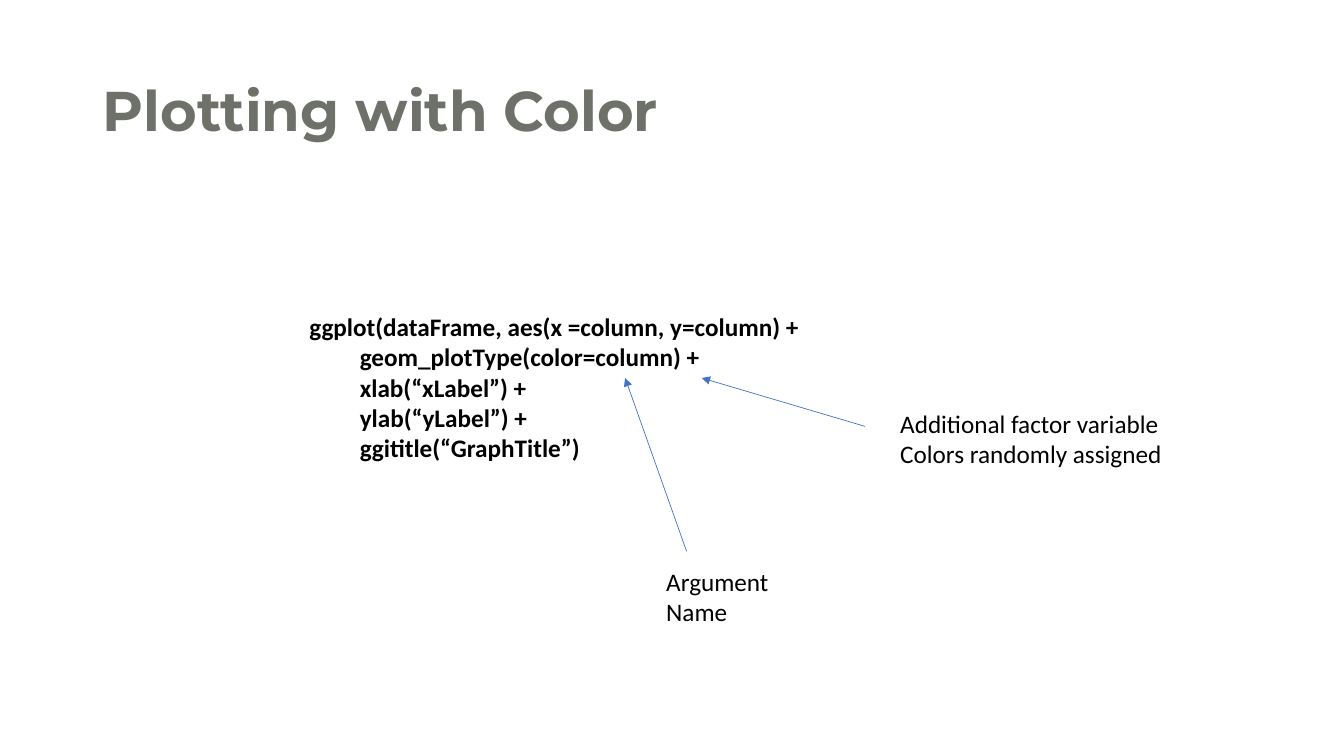
from dataclasses import dataclass

import pptx
import pptx.dml.color
import pptx.enum.dml
import pptx.enum.shapes
import pptx.enum.text
import pptx.oxml
import pptx.oxml.ns
import pptx.slide
import pptx.util
from pptx.util import Inches

GRAY = pptx.dml.color.RGBColor(0x6E, 0x70, 0x6A)
BLACK = pptx.dml.color.RGBColor(0, 0, 0)
BLUE = pptx.dml.color.RGBColor(0x44, 0x72, 0xC4)

TITLE = "Plotting with Color"
CODE = """ggplot(dataFrame, aes(x =column, y=column) +
\tgeom_plotType(color=column) +
\txlab(“xLabel”) +
\tylab(“yLabel”) +
\tggititle(“GraphTitle”)"""


@dataclass
class Callout:
    text: str
    box: tuple[float, float, float, float]
    start: tuple[float, float]
    end: tuple[float, float]


CALLOUTS = [
    Callout("Argument Name", (6.51, 5.57, 1.5, 0.71), (6.81, 5.47), (6.2, 3.75)),
    Callout("Additional factor variable\nColors randomly assigned",
            (8.83, 4, 3.42, 0.71), (8.58, 4.23), (6.96, 3.75)),
]


def add_text(s: pptx.slide.Slide, text: str, box: tuple[float, float, float, float], *,
             font: str = "Calibri", size: float = 18, bold: bool = False,
             color: pptx.dml.color.RGBColor = BLACK, spacing: float = 1.0,
             anchor: pptx.enum.text.MSO_ANCHOR = pptx.enum.text.MSO_ANCHOR.TOP) -> None:
    tf = s.shapes.add_textbox(*map(Inches, box)).text_frame
    tf.word_wrap = True
    tf.vertical_anchor = anchor
    tf.text = text
    for p in tf.paragraphs:
        p.line_spacing = spacing
        for r in p.runs:
            r.font.name = font
            r.font.size = pptx.util.Pt(size)
            r.font.bold = bold
            r.font.color.rgb = color


def add_arrow(s: pptx.slide.Slide, start: tuple[float, float], end: tuple[float, float]) -> None:
    cx = s.shapes.add_connector(pptx.enum.shapes.MSO_CONNECTOR.STRAIGHT,
                                *map(Inches, start + end))
    cx.line.color.rgb = BLUE
    cx.line.width = pptx.util.Pt(0.5)
    sp_pr = cx._element.spPr
    ln = sp_pr.find(pptx.oxml.ns.qn("a:ln"))
    ln.append(pptx.oxml.parse_xml(f'<a:tailEnd {pptx.oxml.ns.nsdecls("a")} type="triangle"/>'))
    sp_pr.append(pptx.oxml.parse_xml(f'<a:effectLst {pptx.oxml.ns.nsdecls("a")}/>'))


def main() -> None:
    prs = pptx.Presentation()
    prs.slide_width, prs.slide_height = Inches(13.33), Inches(7.5)
    s = prs.slides.add_slide(prs.slide_layouts[6])
    add_text(s, TITLE, (0.92, 0.4, 11.5, 1.45), font="Montserrat", size=40, bold=True,
             color=GRAY, spacing=0.9, anchor=pptx.enum.text.MSO_ANCHOR.MIDDLE)
    add_text(s, CODE, (2.97, 3.04, 12.81, 1.62), bold=True)
    for callout in CALLOUTS:
        add_arrow(s, callout.start, callout.end)
        add_text(s, callout.text, callout.box)
    prs.save("out.pptx")


if __name__ == "__main__":
    main()
